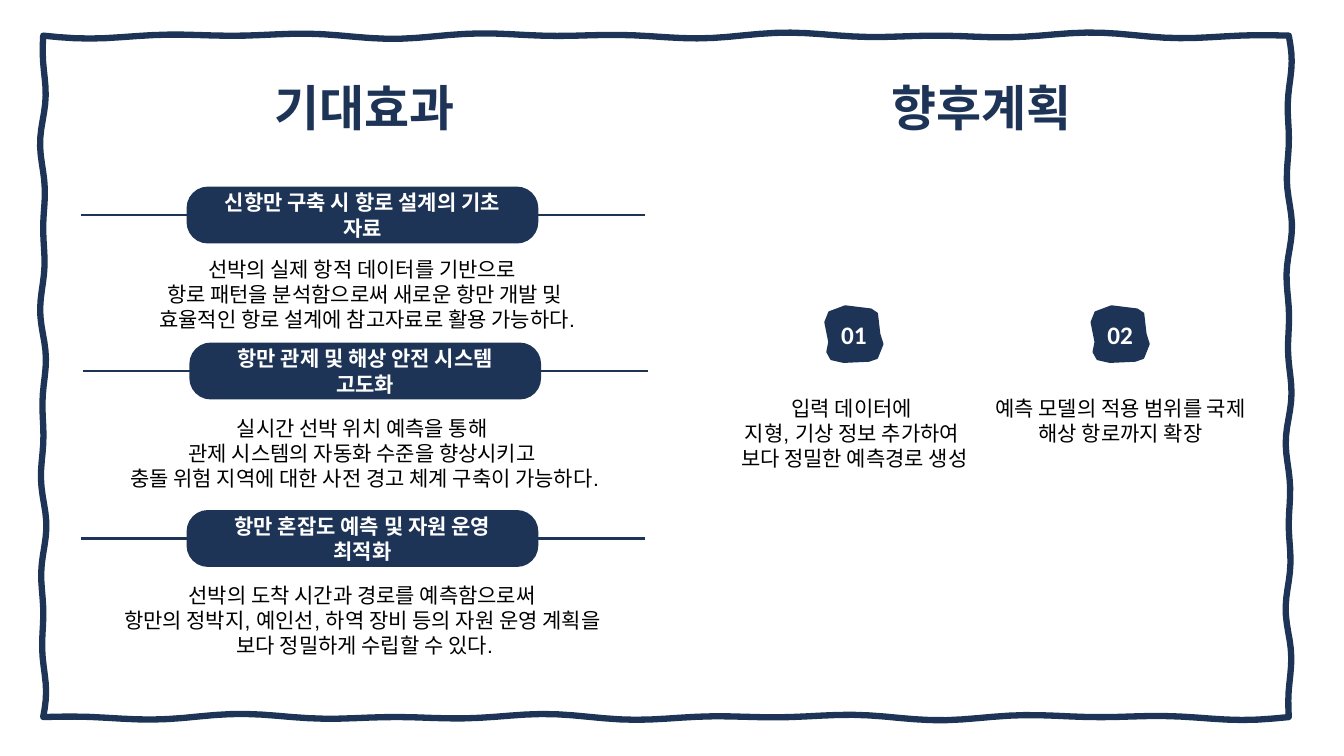
from math import pi, sin

from lxml import etree
from pptx import Presentation
from pptx.dml.color import RGBColor
from pptx.enum.shapes import MSO_CONNECTOR, MSO_SHAPE
from pptx.enum.text import MSO_ANCHOR, PP_ALIGN
from pptx.oxml.ns import qn
from pptx.util import Cm, Pt

STRAIGHT = MSO_CONNECTOR.STRAIGHT
ROUNDED = MSO_SHAPE.ROUNDED_RECTANGLE
MIDDLE = MSO_ANCHOR.MIDDLE
CENTER = PP_ALIGN.CENTER

NAVY = RGBColor(0x1D, 0x34, 0x56)
WHITE = RGBColor(0xFF, 0xFF, 0xFF)
BLACK = RGBColor(0, 0, 0)
HEAD_FONT, BODY_FONT = "Calibri", "Arial"

# Uneven badge outline in cm
BADGE = [
    (0.1, 0.15), (0.5, 0), (1.15, 0.08), (1.3, 0.18), (1.36, 0.7),
    (1.44, 0.95), (1.3, 1.3), (1.1, 1.37), (0.46, 1.4), (0.15, 1.33),
    (0.05, 1.15), (0.1, 0.9), (0, 0.4),
]

# Heading, pill left and top, body top, body lines
EFFECTS = [
    ("신항만 구축 시 항로 설계의 기초 자료", 4.73, 4.73, 6.33,
     ["선박의 실제 항적 데이터를 기반으로 ",
      "항로 패턴을 분석함으로써 새로운 항만 개발 및",
      " 효율적인 항로 설계에 참고자료로 활용 가능하다."]),
    ("항만 관제 및 해상 안전 시스템 고도화", 4.8, 8.66, 10.34,
     ["실시간 선박 위치 예측을 통해 ",
      "관제 시스템의 자동화 수준을 향상시키고 ",
      "충돌 위험 지역에 대한 사전 경고 체계 구축이 가능하다."]),
    ("항만 혼잡도 예측 및 자원 운영 최적화", 4.73, 12.88, 14.55,
     ["선박의 도착 시간과 경로를 예측함으로써 ",
      "항만의 정박지, 예인선, 하역 장비 등의 자원 운영 계획을 ",
      "보다 정밀하게 수립할 수 있다."]),
]
PLANS = [
    ["입력 데이터에 ", "지형, 기상 정보 추가하여 ", "보다 정밀한 예측경로 생성"],
    ["예측 모델의 적용 범위를 국제 해상 항로까지 확장"],
]
PLAN_STEP = 6.71


def write(frame, lines, size, font, color, bold=False):
    frame.word_wrap = True
    for index, line in enumerate(lines):
        paragraph = frame.add_paragraph() if index else frame.paragraphs[0]
        paragraph.alignment = CENTER
        run = paragraph.add_run()
        run.text = line
        run.font.size = Pt(size)
        run.font.name = font
        run.font.bold = bold
        run.font.color.rgb = color


def add_text(slide, left, top, width, height, lines, *style):
    box = slide.shapes.add_textbox(Cm(left), Cm(top), Cm(width), Cm(height))
    write(box.text_frame, lines, *style)


def wavy_border(left, top, right, bottom, steps=80):
    """Walk round a rectangle, letting each edge sway like a drawn line."""
    corners = [(left, top), (right, top), (right, bottom), (left, bottom)]
    points = []
    for edge, (x0, y0) in enumerate(corners):
        x1, y1 = corners[(edge + 1) % 4]
        for step in range(steps):
            t = step / steps
            sway = 0.04 * (sin(9 * pi * t) + sin(16 * pi * t))
            x, y = x0 + (x1 - x0) * t, y0 + (y1 - y0) * t
            points.append((x, y + sway) if y0 == y1 else (x + sway, y))
    return points


def add_outline(slide, outline, left=0, top=0, line_width=1.5):
    points = [(Cm(x), Cm(y)) for x, y in outline]
    builder = slide.shapes.build_freeform(*points[0])
    builder.add_line_segments(points[1:], close=True)
    shape = builder.convert_to_shape(Cm(left), Cm(top))
    shape.shadow.inherit = False
    shape.line.color.rgb = NAVY
    shape.line.width = Pt(line_width)
    return shape


def add_navy_label(shape, text, size):
    shape.fill.solid()
    shape.fill.fore_color.rgb = NAVY
    shape.text_frame.vertical_anchor = MIDDLE
    write(shape.text_frame, [text], size, HEAD_FONT, WHITE, True)


def add_effect(slide, heading, left, top, body_top, body):
    rule_y = Cm(top + 0.69)
    rule = slide.shapes.add_connector(
        STRAIGHT, Cm(left - 2.7), rule_y, Cm(left + 11.53), rule_y)
    rule.line.color.rgb = NAVY
    rule.line.width = Pt(1.5)
    etree.SubElement(rule._element.spPr, qn("a:effectLst"))

    pill = slide.shapes.add_shape(ROUNDED, Cm(left), Cm(top), Cm(8.81), Cm(1.38))
    pill.adjustments[0] = 0.37
    pill.shadow.inherit = False
    pill.line.color.rgb = NAVY
    pill.line.width = Pt(1.5)
    add_navy_label(pill, heading, 15)
    add_text(slide, 2.84, body_top, 12.7, 2.18, body, 15, BODY_FONT, BLACK)


def main():
    prs = Presentation()
    prs.slide_width, prs.slide_height = Cm(33.87), Cm(19.05)
    slide = prs.slides.add_slide(prs.slide_layouts[6])

    # Hand-drawn border
    border = wavy_border(1.09, 0.9, 32.48, 18.07)
    add_outline(slide, border, line_width=4.5).fill.background()

    # Column titles
    for title, left in (("기대효과", 2.84), ("향후계획", 18.39)):
        add_text(slide, left, 1.82, 12.7, 1.75, [title], 35, HEAD_FONT, NAVY, True)

    # Expected effects
    for effect in EFFECTS:
        add_effect(slide, *effect)

    # Future plans
    for index, plan in enumerate(PLANS):
        shift = index * PLAN_STEP
        badge = add_outline(slide, BADGE, 20.8 + shift, 7.72)
        add_navy_label(badge, f"{index + 1:02d}", 18)
        add_text(slide, 17.96 + shift, 9.83, 7.14, 2.18, plan, 15, BODY_FONT, BLACK)

    prs.save("out.pptx")


if __name__ == "__main__":
    main()
